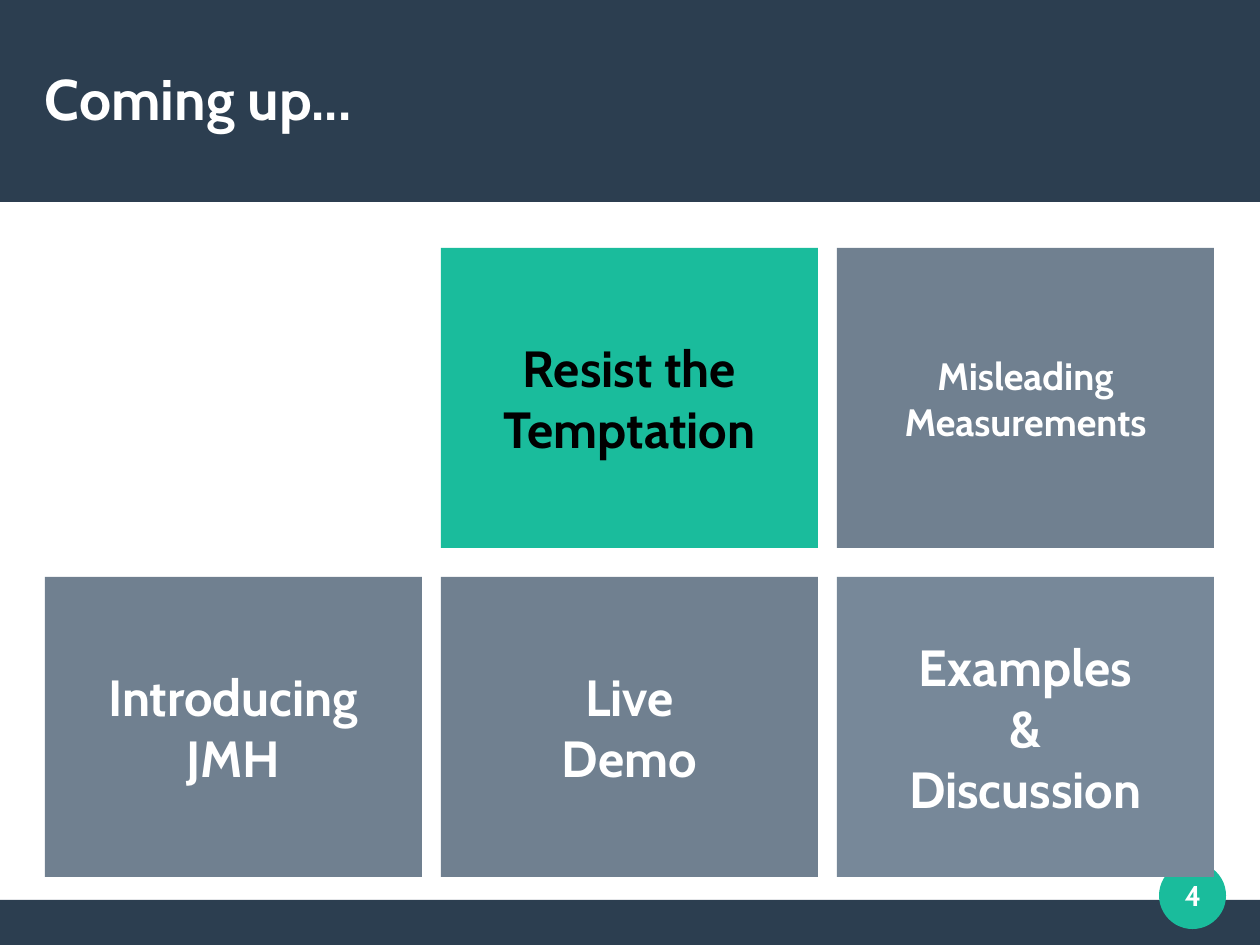
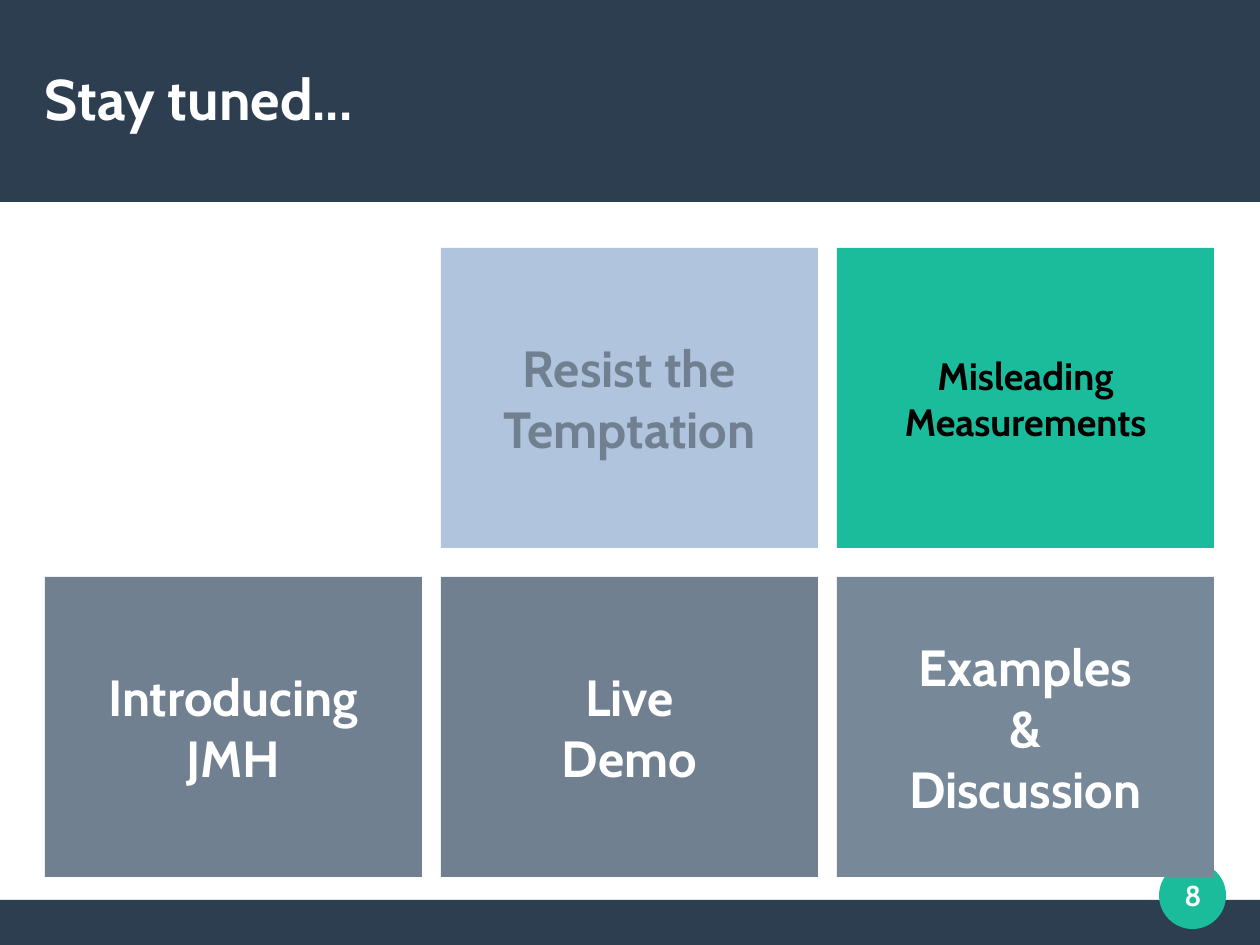
from dataclasses import dataclass

from pptx import Presentation
from pptx.dml.color import RGBColor
from pptx.enum.shapes import MSO_SHAPE as Shape
from pptx.enum.text import MSO_ANCHOR as Anchor, PP_ALIGN as Align
from pptx.util import Emu, Pt

# Content: agenda tiles as (text, column, row, size, resting style), back to front
AGENDA = [
    ("Resist the\nTemptation", 1, 0, "tile", "upcoming"),
    ("Misleading Measurements", 2, 0, "small_tile", "upcoming"),
    ("Examples\n&\nDiscussion", 2, 1, "tile", "closing"),
    ("Live\nDemo", 1, 1, "tile", "upcoming"),
    ("Introducing\nJMH", 0, 1, "tile", "upcoming"),
]
# Each slide: title, page number, index of the current topic (earlier ones are done)
SLIDES = [("Coming up...", "4", 0), ("Stay tuned...", "8", 1)]


@dataclass(frozen=True)
class Theme:
    font = "Cabin"
    navy = "2C3E50"
    green = "1ABC9C"
    white = "FFFFFF"
    sizes = {"title": 36, "tile": 32, "small_tile": 24, "page": 18}
    # fill and text colour of a tile
    tiles = {
        "current": (green, "000000"),
        "done": ("B0C4DE", "708090"),
        "upcoming": ("708090", white),
        "closing": ("778899", white),
    }
    tile_space_after = 14.1


THEME = Theme()

# Layout in px
PX = 8000
WIDTH, HEIGHT = 1260, 945
MARGIN = 45
HEADER_H, FOOTER_H = 202, 45
TITLE_BOX = (MARGIN, 43, WIDTH - 2 * MARGIN, 109)
BADGE_BOX = (1159, 862, 67, 67)
PAGE_BOX = (1148, 850, 90, 90)
GRID_TOP = 248
TILE_W, TILE_H = 377, 300
GAP_X, GAP_Y = 19, 29


def emu(box):
    return [Emu(length * PX) for length in box]


def add_block(slide, kind, box, fill):
    block = slide.shapes.add_shape(kind, *emu(box))
    block.shadow.inherit = False
    block.fill.solid()
    block.fill.fore_color.rgb = RGBColor.from_string(fill)
    block.line.fill.background()
    return block


def write(holder, text, size, color, align=Align.CENTER, space_after=0):
    frame = holder.text_frame
    frame_format = {
        "word_wrap": True, "vertical_anchor": Anchor.MIDDLE,
        "margin_left": 0, "margin_top": 0, "margin_right": 0, "margin_bottom": 0,
    }
    for key, value in frame_format.items():
        setattr(frame, key, value)
    paragraph = frame.paragraphs[0]
    paragraph.text = text
    paragraph.alignment = align
    paragraph.space_after = Pt(space_after)
    run_format = {"name": THEME.font, "size": Pt(THEME.sizes[size]), "bold": True}
    for run in paragraph.runs:
        for key, value in run_format.items():
            setattr(run.font, key, value)
        run.font.color.rgb = RGBColor.from_string(color)


def add_label(slide, box, text, size, align=Align.CENTER):
    write(slide.shapes.add_textbox(*emu(box)), text, size, THEME.white, align)


def add_frame(slide):
    footer = (0, HEIGHT - FOOTER_H, WIDTH, FOOTER_H)
    add_block(slide, Shape.RECTANGLE, footer, THEME.navy)
    add_block(slide, Shape.RECTANGLE, (0, 0, WIDTH, HEADER_H), THEME.navy)
    add_block(slide, Shape.OVAL, BADGE_BOX, THEME.green)


def add_agenda(slide, current):
    for index, (topic, column, row, size, style) in enumerate(AGENDA):
        if index <= current:
            style = "current" if index == current else "done"
        fill, color = THEME.tiles[style]
        left = MARGIN + column * (TILE_W + GAP_X)
        top = GRID_TOP + row * (TILE_H + GAP_Y)
        tile = add_block(slide, Shape.RECTANGLE, (left, top, TILE_W, TILE_H), fill)
        write(tile, topic, size, color, space_after=THEME.tile_space_after)


def main():
    deck = Presentation()
    deck.slide_width, deck.slide_height = emu((WIDTH, HEIGHT))
    blank = deck.slide_layouts[6]
    for title, page, current in SLIDES:
        slide = deck.slides.add_slide(blank)
        add_frame(slide)
        add_label(slide, TITLE_BOX, title, "title", Align.LEFT)
        add_agenda(slide, current)
        add_label(slide, PAGE_BOX, page, "page")
    deck.save("out.pptx")


if __name__ == "__main__":
    main()
